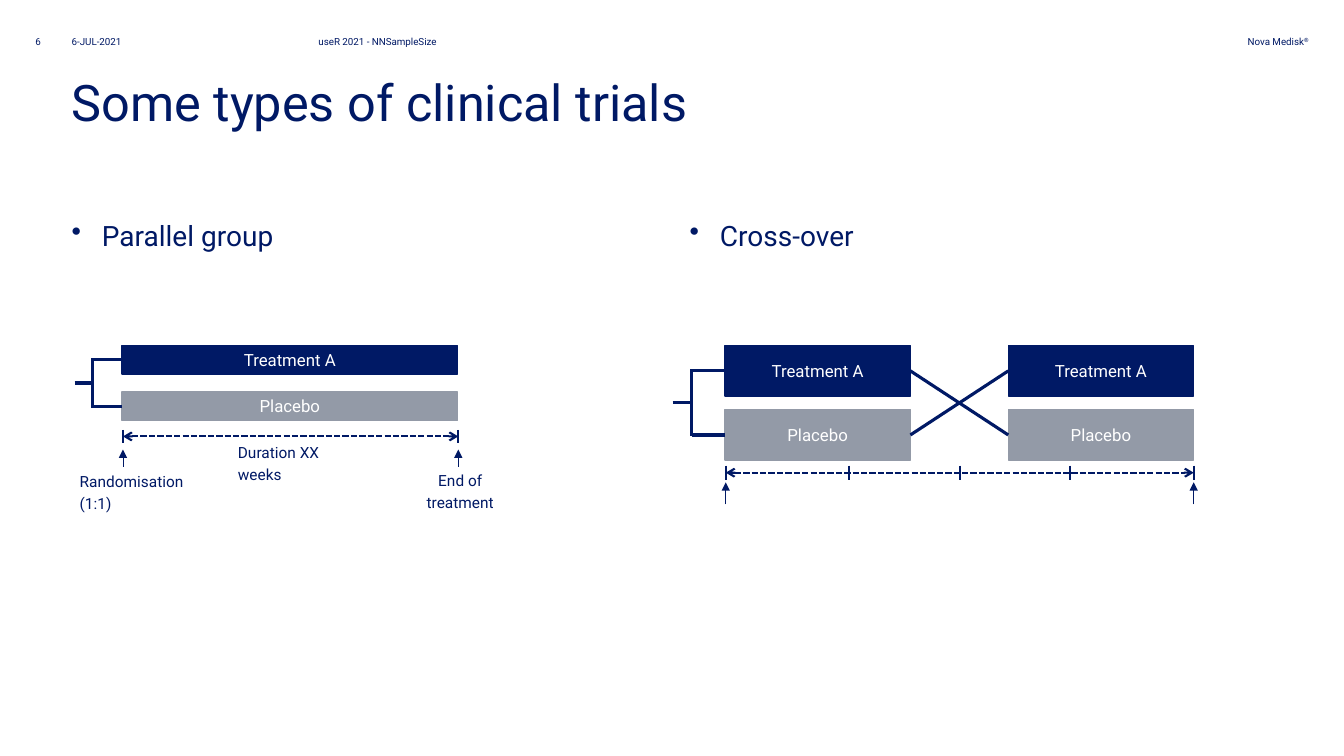
from lxml.etree import SubElement
from pptx import Presentation
from pptx.dml.color import RGBColor
from pptx.enum.dml import MSO_LINE
from pptx.enum.shapes import MSO_CONNECTOR, MSO_SHAPE
from pptx.enum.text import MSO_ANCHOR, MSO_AUTO_SIZE, PP_ALIGN
from pptx.oxml.ns import qn
from pptx.util import Inches, Pt

NAVY = RGBColor(0x00, 0x19, 0x65)
GREY = RGBColor(0x93, 0x9A, 0xA7)
WHITE = RGBColor(0xFF, 0xFF, 0xFF)
FONT = "Roboto"
LEFT, RIGHT = 1, 3  # connection sites


class Page:
    """Draws on one slide; lengths are percent of its width and height."""

    def __init__(self, prs):
        self.col, self.row = prs.slide_width / 100, prs.slide_height / 100
        self.slide = prs.slides.add_slide(prs.slide_layouts[5])
        self.shapes = self.slide.shapes

    def box(self, x, y, w, h):
        return [round(v) for v in
                (x * self.col, y * self.row, w * self.col, h * self.row)]

    def fill_text(self, sp, text, size, color=NAVY, align=PP_ALIGN.LEFT,
                  anchor=MSO_ANCHOR.TOP, margins=(0, 0), **spacing):
        tf = sp.text_frame
        side, edge = (Inches(m) for m in margins)
        frame = dict(word_wrap=True, auto_size=MSO_AUTO_SIZE.NONE,
                     vertical_anchor=anchor, margin_left=side,
                     margin_right=side, margin_top=edge, margin_bottom=edge)
        for name, value in frame.items():
            setattr(tf, name, value)
        p = tf.paragraphs[0]
        for name, value in dict(alignment=align, **spacing).items():
            setattr(p, name, value)
        return self.run(p, text, size, color)

    def run(self, p, text, size, color=NAVY):
        r = p.add_run()
        r.text = text
        for name, value in dict(name=FONT, size=Pt(size)).items():
            setattr(r.font, name, value)
        r.font.color.rgb = color
        return p

    def title(self, text, *box):
        sp = self.shapes.title
        sp.left, sp.top, sp.width, sp.height = self.box(*box)
        self.fill_text(sp, text, 36)

    def text(self, text, *box, size=11, **fmt):
        return self.fill_text(self.shapes.add_textbox(*self.box(*box)),
                              text, size, **fmt)

    def bullet(self, text, *box):
        p = self.text(text, *box, size=20, space_after=Pt(6))
        pPr = p._p.get_or_add_pPr()
        pPr.set("marL", str(Inches(0.3)))
        pPr.set("indent", str(-Inches(0.3)))
        SubElement(pPr, qn("a:buChar"), char="•")

    def bar(self, text, fill, *box):
        sp = self.shapes.add_shape(MSO_SHAPE.RECTANGLE, *self.box(*box))
        sp.shadow.inherit = False
        sp.fill.solid()
        sp.fill.fore_color.rgb = fill
        sp.line.color.rgb = fill
        sp.line.width = Pt(1)
        self.fill_text(sp, text, 12, WHITE, PP_ALIGN.CENTER,
                       MSO_ANCHOR.MIDDLE, (0.08, 0.04))
        return sp

    def line(self, x1, y1, x2, y2, width=2.25, dash=None, head=None,
             tail=None):
        ends = self.box(x1, y1, x2, y2)
        c = self.shapes.add_connector(MSO_CONNECTOR.STRAIGHT, *ends)
        c.line.color.rgb = NAVY
        c.line.width = Pt(width)
        if dash:
            c.line.dash_style = dash
        spPr = c._element.spPr
        for tag, kind in (("a:headEnd", head), ("a:tailEnd", tail)):
            if kind:
                SubElement(spPr.find(qn("a:ln")), qn(tag), type=kind)
        SubElement(spPr, qn("a:effectLst"))
        return c

    def middle(self, sp):
        return (sp.top + sp.height / 2) / self.row

    def bracket(self, start, spine, bars):
        """Splits one stem into an arm for each bar."""
        mids = [self.middle(sp) for sp in bars]
        stem = sum(mids) / len(mids)
        self.line(start, stem, spine, stem)
        self.line(spine, mids[0] - 0.2, spine, mids[-1] + 0.2)
        for sp, y in zip(bars, mids):
            arm = self.line(spine, y, sp.left / self.col, y)
            arm.end_connect(sp, LEFT)

    def cross(self, a, b):
        link = self.line(0, 0, 1, 1)
        link.begin_connect(a, RIGHT)
        link.end_connect(b, LEFT)

    def timeline(self, ticks, y, half, arrow_tip, arrow_foot):
        """Dashed span with ticks, and an upward arrow below each end."""
        first, last = ticks[0], ticks[-1]
        self.line(first, y, last, y, 1.5, MSO_LINE.SQUARE_DOT,
                  "arrow", "arrow")
        for x in ticks:
            self.line(x, y - half, x, y + half, 1.5)
        for x in (first, last):
            self.line(x, y + arrow_foot, x, y + arrow_tip, 0.5,
                      tail="triangle")


def main():
    prs = Presentation()
    prs.slide_width, prs.slide_height = Inches(13.33), Inches(7.5)
    s = Page(prs)

    # Header line and title
    for text, x, w in (("6", 2.63, 2.63), ("6-JUL-2021", 5.33, 15.75),
                       ("useR 2021 - NNSampleSize", 23.7, 34.13)):
        s.text(text, x, 4.67, w, 1.87, size=7)
    p = s.text("Nova Medisk", 91.03, 4.67, 6.33, 1.6, size=7,
               align=PP_ALIGN.RIGHT)
    s.run(p, "®", 7).runs[-1].font._element.set("baseline", "30000")
    s.title("Some types of clinical trials", 5.33, 9.47, 89.35, 18.8)

    # Column headings
    for text, x in (("Parallel group", 5.33), ("Cross-over", 51.31)):
        s.bullet(text, x, 28.9, 43.36, 61.8)

    # Parallel group
    arms = (("Treatment A", NAVY), ("Placebo", GREY))
    bars = [s.bar(*arm, 9.08, 45.73 + i * 6.14, 24.98, 3.73)
            for i, arm in enumerate(arms)]
    s.bracket(5.55, 6.87, bars)
    s.timeline((9.15, 34.1), 57.73, 0.87, 1.73, 4)
    for text, x, y, w, align in (
            ("Duration XX weeks", 17.7, 58.13, 7.8, PP_ALIGN.LEFT),
            ("Randomisation (1:1)", 5.93, 62, 9.75, PP_ALIGN.LEFT),
            ("End of treatment", 30.38, 61.87, 7.73, PP_ALIGN.CENTER)):
        s.text(text, x, y, w, 5.73, align=align, line_spacing=1.2)

    # Cross-over: two periods, with the arms swapped between them
    before, after = [
        [s.bar(*arm, x, 45.73 + i * 8.47, 13.8, 6.67)
         for i, arm in enumerate(arms)]
        for x in (53.94, 75.02)]
    s.bracket(50.04, 51.46, before)
    for a, b in zip(before, reversed(after)):
        s.cross(a, b)
    s.timeline((54, 63.18, 71.4, 79.62, 88.82), 62.53, 0.93, 1.27, 4.2)

    prs.save("out.pptx")


if __name__ == "__main__":
    main()
